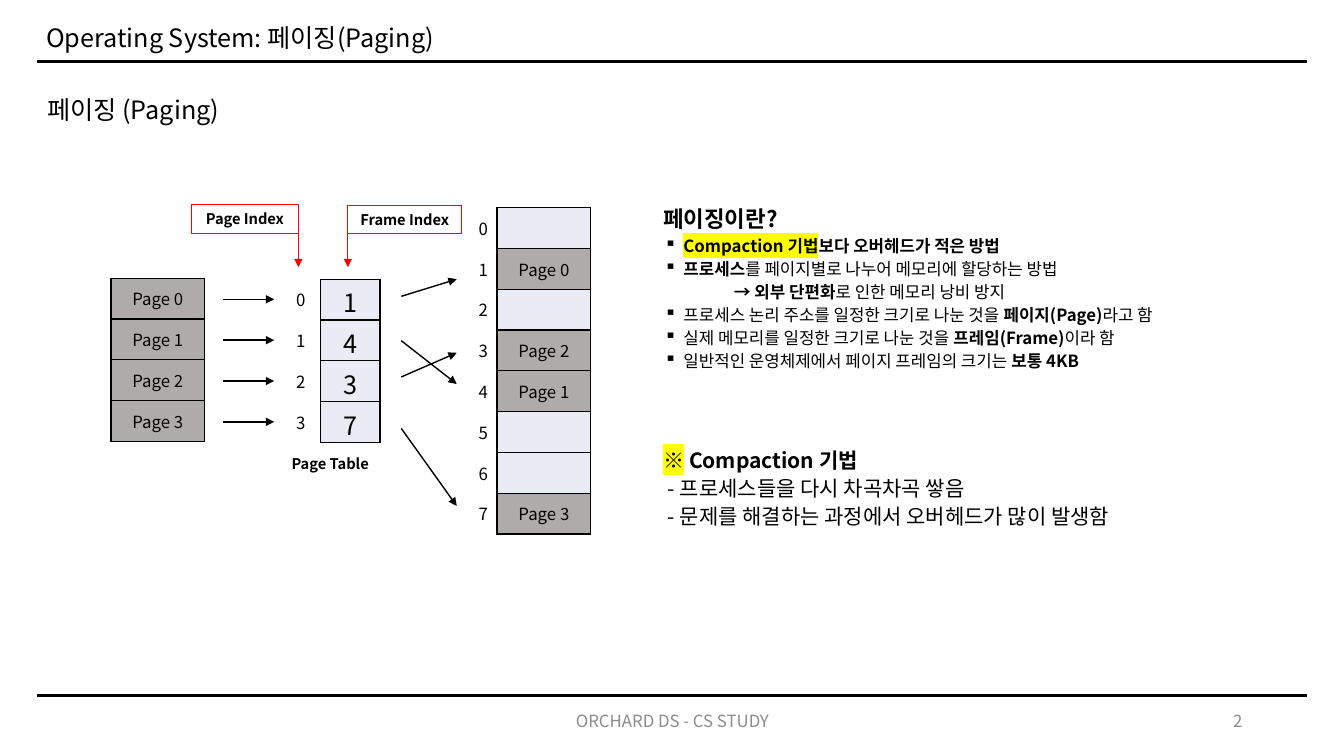
"""Builds the slide that explains paging with a page table and memory frames."""
from lxml.etree import SubElement
from pptx import Presentation
from pptx.dml.color import RGBColor
from pptx.enum.shapes import MSO_CONNECTOR, MSO_SHAPE
from pptx.enum.text import MSO_ANCHOR, PP_ALIGN
from pptx.oxml import parse_xml
from pptx.oxml.ns import nsdecls, qn
from pptx.util import Inches, Pt

FONT = "Noto Sans CJK KR"
COLORS = {"ink": "000000", "muted": "8C8C8C", "mark": "FFFF00", "pointer": "FF0000",
          "free": "E9EBF5", "used": "AFABAB"}
LEFT, CENTER, RIGHT, JUSTIFY = PP_ALIGN.LEFT, PP_ALIGN.CENTER, PP_ALIGN.RIGHT, PP_ALIGN.JUSTIFY

HEADINGS = [
    ("Operating System: 페이징(Paging)", (0.36, 0.17, 6.3, 0.4), 18, JUSTIFY, "ink"),
    ("페이징 (Paging)", (0.37, 0.89, 6.42, 0.4), 18, LEFT, "ink"),
    ("ORCHARD DS - CS STUDY", (4.42, 6.95, 4.5, 0.4), 12, CENTER, "muted"),
    ("2", (9.42, 6.95, 3, 0.4), 12, RIGHT, "muted"),
]
DEFINITION_TITLE = "페이징이란?"
DEFINITION = [
    ("bullet", [("Compaction 기법", "bold mark"), ("보다 오버헤드가 적은 방법", "bold")]),
    ("bullet", [("프로세스", "bold"), ("를 페이지별로 나누어 메모리에 할당하는 방법", "")]),
    ("result", [("→ 외부 단편화", "bold"), ("로 인한 메모리 낭비 방지", "")]),
    ("bullet", [("프로세스 논리 주소를 일정한 크기로 나눈 것을 ", ""),
                ("페이지(Page)", "bold"), ("라고 함", "")]),
    ("bullet", [("실제 메모리를 일정한 크기로 나눈 것을 ", ""),
                ("프레임(Frame)", "bold"), ("이라 함", "")]),
    ("bullet", [("일반적인 운영체제에서 페이지 프레임의 크기는 ", ""), ("보통 4KB", "bold")]),
]
COMPACTION = [
    ("plain", [("※", "bold mark"), (" Compaction 기법", "bold")]),
    ("plain", [(" - 프로세스들을 다시 차곡차곡 쌓음", "")]),
    ("plain", [(" - 문제를 해결하는 과정에서 오버헤드가 많이 발생함", "")]),
]
FRAME_OF_PAGE = [1, 4, 3, 7]
FRAME_COUNT = 8
INDEX_LABELS = [("Page Index", (1.9, 2.03, 1.06, 0.29), 2.96),
                ("Frame Index", (3.45, 2.04, 1.13, 0.28), 3.45)]
MAPPING_ENDS = [(2.94, 2.77), (3.38, 3.81), (3.74, 3.5), (4.25, 5.02)]
ROW = 0.405

deck = Presentation()
deck.slide_width, deck.slide_height = Inches(13.33), Inches(7.5)
slide = deck.slides.add_slide(deck.slide_layouts[6])


def rgb(color):
    return RGBColor.from_string(COLORS[color])


def add_run(paragraph, text, size, style="", color="ink"):
    run = paragraph.add_run()
    run.text = text
    font = run.font
    font.size, font.bold, font.name = Pt(size), "bold" in style, FONT
    font.color.rgb = rgb(color)
    properties = font._element
    SubElement(properties, qn("a:ea")).set("typeface", FONT)
    if "mark" in style:
        highlight = parse_xml(f'<a:highlight {nsdecls("a")}>'
                              f'<a:srgbClr val="{COLORS["mark"]}"/></a:highlight>')
        properties.find(qn("a:solidFill")).addnext(highlight)


def add_box(place, anchor=MSO_ANCHOR.TOP):
    frame = slide.shapes.add_textbox(*map(Inches, place)).text_frame
    frame.word_wrap, frame.vertical_anchor = True, anchor
    return frame


def write_lines(frame, lines, size, align=LEFT, gap=1):
    for number, (kind, runs) in enumerate(lines):
        paragraph = frame.add_paragraph() if number else frame.paragraphs[0]
        paragraph.alignment = align
        paragraph.line_spacing = Pt(size * 1.2)
        paragraph.space_before = paragraph.space_after = Pt(gap)
        properties = paragraph._p.get_or_add_pPr()
        if kind == "bullet":
            properties.set("marL", str(Inches(0.19)))
            properties.set("indent", str(Inches(-0.19)))
            SubElement(properties, qn("a:buChar")).set("char", "▪")
        elif kind == "result":
            properties.set("marL", str(Inches(0.69)))
        for text, style in runs:
            add_run(paragraph, text, size, style)


def add_line(start, end, width, color="ink", arrow=True):
    line = slide.shapes.add_connector(MSO_CONNECTOR.STRAIGHT, *map(Inches, (*start, *end)))
    line.line.width, line.line.color.rgb = Pt(width), rgb(color)
    if arrow:
        SubElement(line.line._get_or_add_ln(), qn("a:tailEnd")).set("type", "triangle")
    SubElement(line._element.spPr, qn("a:effectLst"))


def set_borders(cell, visible):
    paint = (f'<a:solidFill><a:srgbClr val="{COLORS["ink"]}"/></a:solidFill>'
             if visible else "<a:noFill/>")
    for place, side in enumerate(("lnL", "lnR", "lnT", "lnB")):
        border = parse_xml(f'<a:{side} {nsdecls("a")} w="{Pt(1)}">{paint}</a:{side}>')
        cell._tc.get_or_add_tcPr().insert(place, border)


def add_column(place, values, fills=None, size=12, align=CENTER):
    left, top, width = place
    table = slide.shapes.add_table(len(values), 1, Inches(left), Inches(top), Inches(width),
                                   Inches(ROW * len(values))).table
    table.first_row = table.horz_banding = False
    for index, value in enumerate(values):
        table.rows[index].height = Inches(ROW)
        cell = table.cell(index, 0)
        cell.vertical_anchor = MSO_ANCHOR.MIDDLE
        cell.margin_top, cell.margin_bottom = Inches(0.04 if size > 12 else 0), 0
        if fills:
            cell.fill.solid()
            cell.fill.fore_color.rgb = rgb(fills[index])
        else:
            cell.fill.background()
        set_borders(cell, bool(fills))
        paragraph = cell.text_frame.paragraphs[0]
        paragraph.alignment = align
        if value:
            add_run(paragraph, value, size)


for rule_y in (0.61, 6.9):
    add_line((0.37, rule_y), (12.96, rule_y), 2.25, arrow=False)
for text, place, size, align, color in HEADINGS:
    heading = add_box(place, MSO_ANCHOR.MIDDLE).paragraphs[0]
    heading.alignment = align
    add_run(heading, text, size, color=color)

write_lines(add_box((6.49, 2.29, 6.42, 1.45)), DEFINITION, 12, JUSTIFY)
write_lines(add_box((6.48, 4.39, 6.42, 0.91)), COMPACTION, 15)
write_lines(add_box((6.48, 1.99, 1.39, 0.37)), [("plain", [(DEFINITION_TITLE, "bold")])], 16)
write_lines(add_box((2.75, 4.46, 1.05, 0.29)), [("plain", [("Page Table", "bold")])],
            10.5, CENTER, 0)

page_count = len(FRAME_OF_PAGE)
pages = [f"Page {page}" for page in range(page_count)]
memory = [""] * FRAME_COUNT
for page, frame_index in zip(pages, FRAME_OF_PAGE):
    memory[frame_index] = page
add_column((1.1, 2.76, 0.93), pages, ["used"] * page_count)
add_column((2.54, 2.77, 0.59), [str(page) for page in range(page_count)], align=RIGHT)
add_column((3.18, 2.77, 0.59), [str(index) for index in FRAME_OF_PAGE],
           ["free"] * page_count, 18)
add_column((4.35, 2.06, 0.59), [str(index) for index in range(FRAME_COUNT)], align=RIGHT)
add_column((4.93, 2.06, 0.93), memory, ["used" if page else "free" for page in memory])

for row, (start_y, end_y) in enumerate(MAPPING_ENDS):
    page_y = 2.97 + ROW * row
    add_line((2.21, page_y), (2.72, page_y), 1)
    add_line((3.98, start_y), (4.53, end_y), 1)

for text, place, pointer_x in INDEX_LABELS:
    label = slide.shapes.add_shape(MSO_SHAPE.RECTANGLE, *map(Inches, place))
    label.shadow.inherit = False
    label.fill.background()
    label.line.width, label.line.color.rgb = Pt(0.75), rgb("pointer")
    label.text_frame.word_wrap = True
    label.text_frame.vertical_anchor = MSO_ANCHOR.TOP
    write_lines(label.text_frame, [("plain", [(text, "bold")])], 10.5, CENTER, 0)
    add_line((pointer_x, 2.32), (pointer_x, 2.65), 0.5, "pointer")

deck.save("out.pptx")
